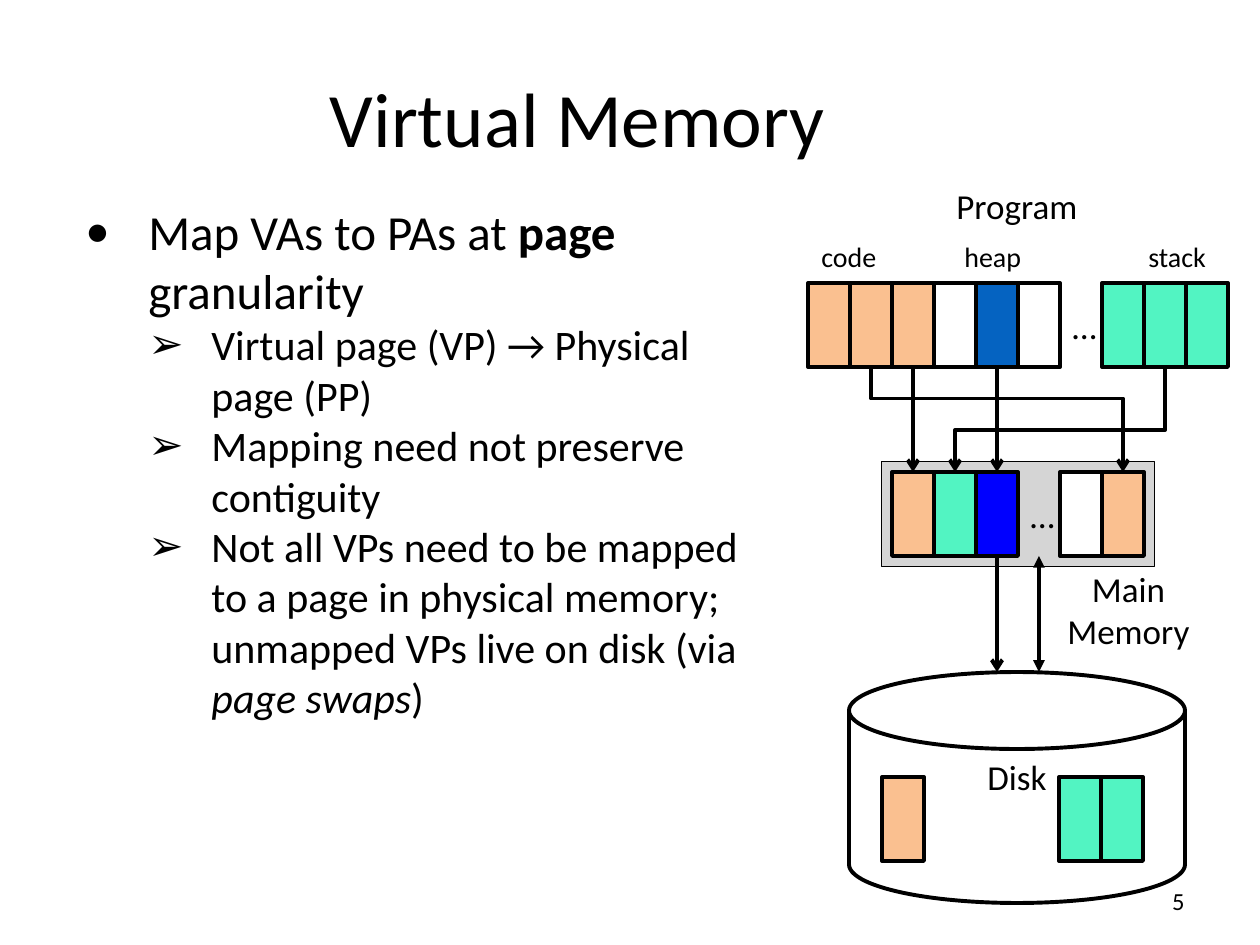
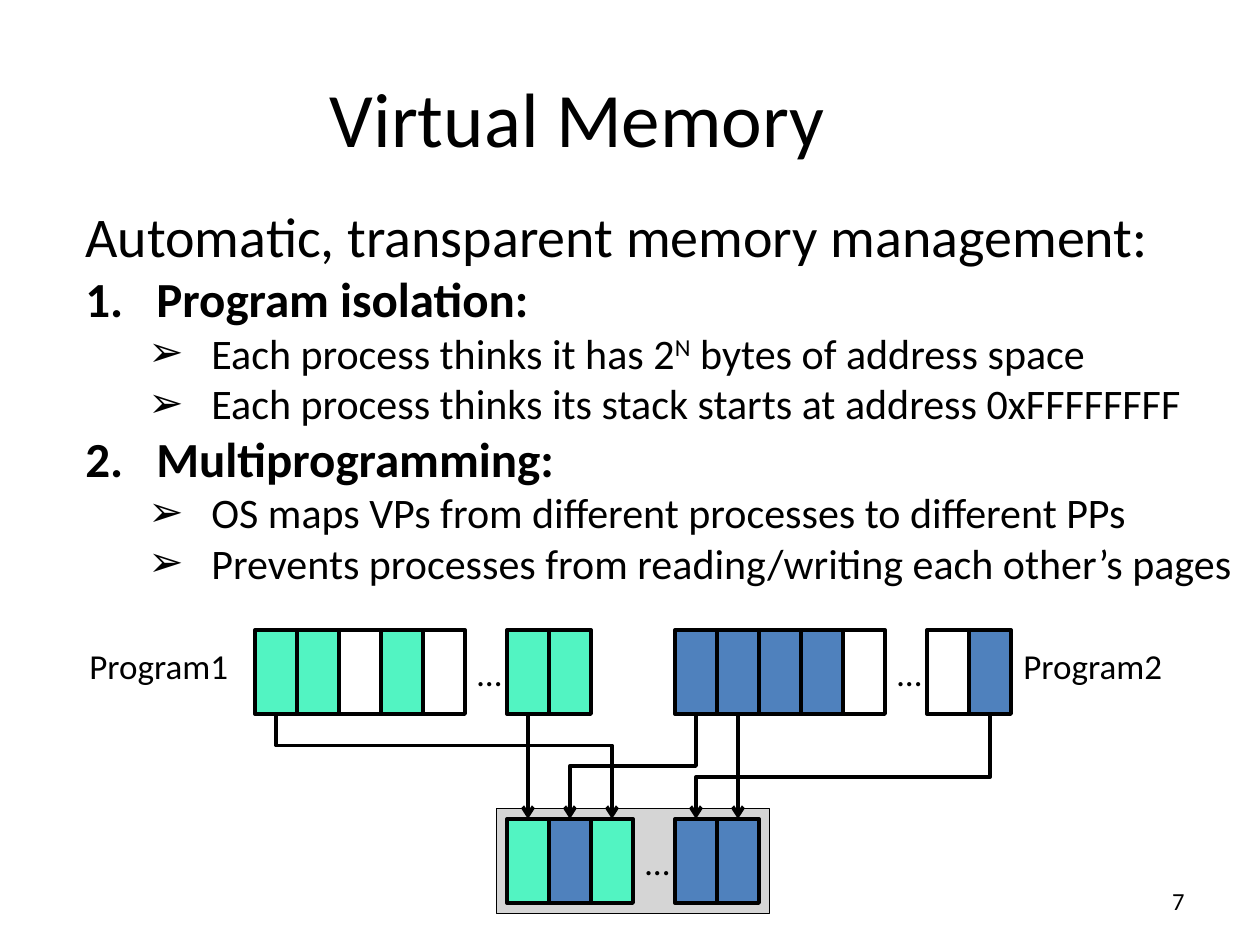
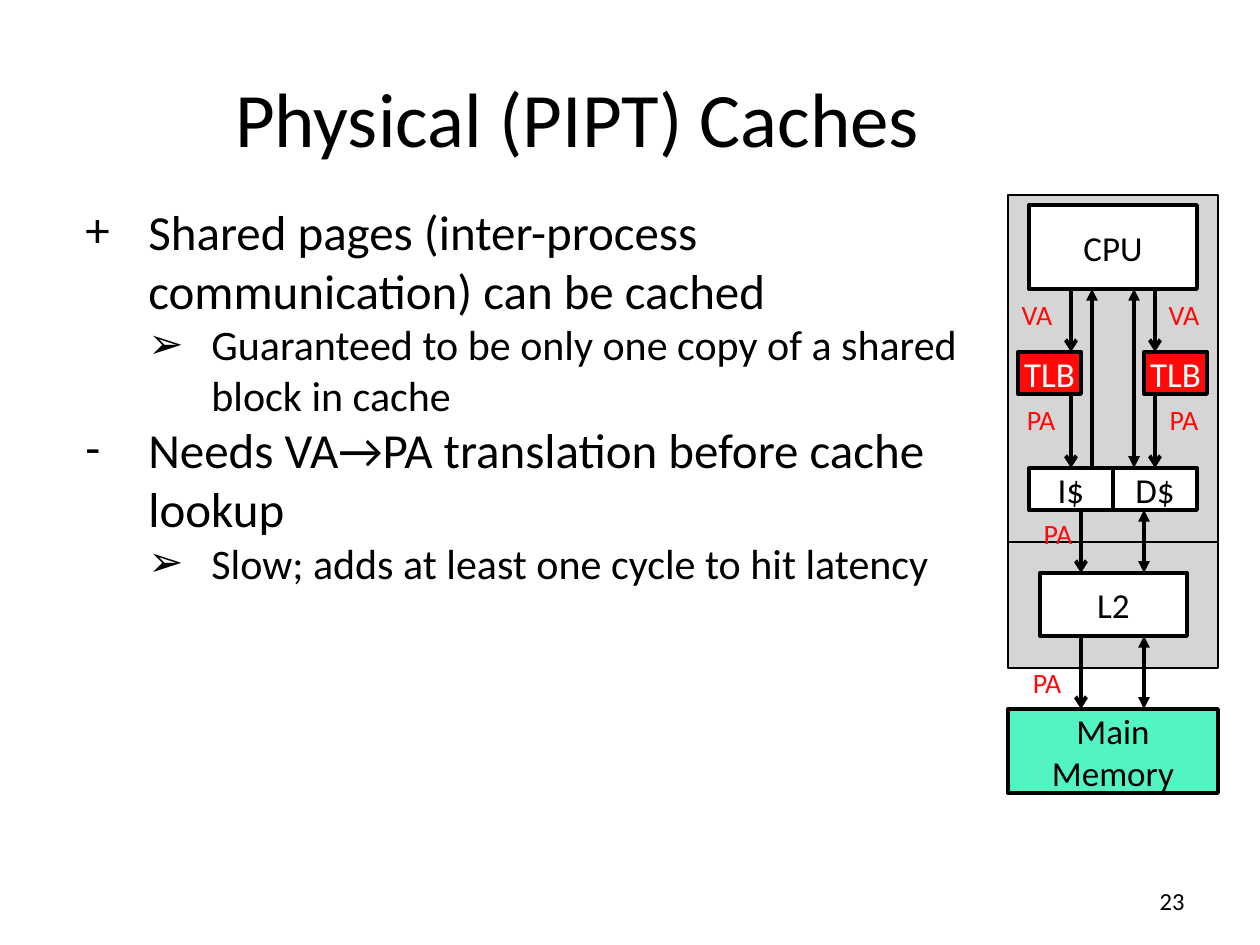
import dataclasses

import lxml.etree
import pptx
import pptx.dml.color
import pptx.enum.shapes
import pptx.enum.text
import pptx.oxml.ns
import pptx.util

SHAPE = pptx.enum.shapes.MSO_SHAPE
ALIGN = pptx.enum.text.PP_ALIGN
ANCHOR = pptx.enum.text.MSO_ANCHOR
BOTTOM, TOP = 2, 0  # connection sites of a rectangle
TITLE_ONLY = 5
CELL_WIDTH, CELL_HEIGHT = 42, 84


@dataclasses.dataclass(frozen=True)
class Theme:
    font: str = "Calibri"
    ink: str = "000000"
    white: str = "FFFFFF"
    panel: str = "D5D5D5"
    orange: str = "FAC090"
    teal: str = "52F4C2"
    heap: str = "0563C1"
    blue: str = "0000FF"
    steel: str = "4F81BD"
    red: str = "FF0909"
    title: int = 44
    lead: int = 32
    point: int = 28
    detail: int = 24
    label: int = 20
    small: int = 16
    number: int = 14
    thick: float = 2.25
    thin: float = 1


THEME = Theme()


def px(length):
    return pptx.util.Emu(round(length * 914400 / 126))


def rgb(colour):
    return pptx.dml.color.RGBColor.from_string(colour)


def add_xml(parent, tag, **attributes):
    child = lxml.etree.SubElement(parent, pptx.oxml.ns.qn(tag))
    for name, value in attributes.items():
        child.set(name, value)


# Text

def add_bullet(para, bullet, level, hang):
    """Indent the paragraph and give it a sign, or a number for "1."."""
    para.level = level
    settings = para._p.get_or_add_pPr()
    settings.set("marL", str(px(hang + 63 * level)))
    settings.set("indent", str(-px(hang)))
    add_xml(settings, "a:buFont", typeface=THEME.font)
    if bullet == "1.":
        add_xml(settings, "a:buAutoNum", type="arabicPeriod")
    else:
        add_xml(settings, "a:buChar", char=bullet)


def write(frame, text, *, size=THEME.label, colour=THEME.ink, align=ALIGN.LEFT,
          bold=False, bullet=None, level=0, hang=63):
    """Add one paragraph; text is a string or a list of (words, style) spans."""
    para = frame.add_paragraph() if frame.text else frame.paragraphs[0]
    para.alignment = align
    if bullet:
        add_bullet(para, bullet, level, hang)
    for words, style in [(text, "")] if isinstance(text, str) else text:
        span = para.add_run()
        span.text = words
        font = span.font
        font.name, font.size = THEME.font, pptx.util.Pt(size)
        font.color.rgb = rgb(colour)
        font.bold = bold or style == "bold"
        font.italic = style == "italic"
        if style == "super":
            font._element.set("baseline", "30000")


def add_label(page, box, text, anchor=ANCHOR.TOP, wrap=False, **text_format):
    label = page.shapes.add_textbox(*map(px, box))
    label.text_frame.word_wrap = wrap
    label.text_frame.vertical_anchor = anchor
    write(label.text_frame, text, **text_format)
    return label


def add_body(page, width):
    body = page.shapes.add_textbox(*map(px, (73, 195, width, 735)))
    body.text_frame.word_wrap = True
    return body.text_frame


def write_detail(frame, text):
    write(frame, text, size=THEME.detail, bullet="➢", level=1)


# Shapes and arrows

def add_block(page, box, fill, kind=SHAPE.RECTANGLE, line=THEME.thick, text="",
              anchor=ANCHOR.MIDDLE, colour=THEME.ink):
    block = page.shapes.add_shape(kind, *map(px, box))
    block.shadow.inherit = False
    block.fill.solid()
    block.fill.fore_color.rgb = rgb(fill)
    block.line.color.rgb = rgb(THEME.ink)
    block.line.width = pptx.util.Pt(line)
    if text:
        block.text_frame.word_wrap = False
        block.text_frame.vertical_anchor = anchor
        for words in text.split("\n"):
            write(block.text_frame, words, align=ALIGN.CENTER, colour=colour)
    return block


def style_arrow(arrow, head, tail):
    arrow.line.color.rgb = rgb(THEME.ink)
    arrow.line.width = pptx.util.Pt(THEME.thick)
    line = arrow.line._get_or_add_ln()
    if head:
        add_xml(line, "a:headEnd", type=head)
    if tail:
        add_xml(line, "a:tailEnd", type=tail)


def middle(block):
    return block.left + block.width // 2


def add_arrow(page, upper, lower, x=None, head=None, tail="arrow"):
    """Run straight down between two blocks, joined where x is their middle."""
    x = middle(upper) if x is None else px(x)
    arrow = page.shapes.add_connector(
        pptx.enum.shapes.MSO_CONNECTOR.STRAIGHT,
        x, upper.top + upper.height, x, lower.top)
    if abs(x - middle(upper)) < px(1):
        arrow.begin_connect(upper, BOTTOM)
    if abs(x - middle(lower)) < px(1):
        arrow.end_connect(lower, TOP)
    style_arrow(arrow, head, tail)
    add_xml(arrow._element.spPr, "a:effectLst")


def add_bent_arrow(page, upper, lower, drop):
    """Go down by drop, across, and down into the lower block."""
    start = upper.top + upper.height
    bend = start + px(drop)
    builder = page.shapes.build_freeform(middle(upper), start, scale=1.0)
    builder.add_line_segments(
        [(middle(upper), bend), (middle(lower), bend), (middle(lower), lower.top)],
        close=False)
    arrow = builder.convert_to_shape()
    arrow.shadow.inherit = False
    arrow.fill.background()
    style_arrow(arrow, None, "arrow")


# Memory regions

def add_cells(page, left, top, fills):
    """Draw a row of memory pages; None leaves a gap with an ellipsis."""
    cells = []
    for index, fill in enumerate(fills):
        box = (left + index * CELL_WIDTH, top, CELL_WIDTH, CELL_HEIGHT)
        cells.append(add_block(page, box, fill) if fill
                     else add_label(page, box, "…", anchor=ANCHOR.MIDDLE))
    return cells


def add_main_memory(page, left, top, fills):
    margin = 10.5
    box = (left - margin, top - margin,
           len(fills) * CELL_WIDTH + 2 * margin, CELL_HEIGHT + 2 * margin)
    add_block(page, box, THEME.panel, line=THEME.thin)
    return add_cells(page, left, top, fills)


def add_disk(page, left, top):
    disk = add_block(page, (left, top, 336, 231), THEME.white,
                     kind=SHAPE.FLOWCHART_MAGNETIC_DISK, text="Disk",
                     anchor=ANCHOR.TOP)
    add_cells(page, left + 33, top + 105, [THEME.orange])
    add_cells(page, left + 210, top + 105, [THEME.teal] * 2)
    return disk


def add_mapping(page, left, top):
    """Show a program's pages mapped to main memory and disk."""
    program = add_cells(page, left, top, [THEME.orange] * 3 + [
        THEME.white, THEME.heap, THEME.white, None] + [THEME.teal] * 3)
    memory = add_main_memory(page, left + 2 * CELL_WIDTH, top + 189, [
        THEME.orange, THEME.teal, THEME.blue, None, THEME.white, THEME.orange])
    disk = add_disk(page, left + 41, top + 389)

    add_arrow(page, program[2], memory[0])
    add_arrow(page, program[4], memory[2])
    add_bent_arrow(page, program[1], memory[5], 31.5)
    add_bent_arrow(page, program[8], memory[1], 63)
    add_arrow(page, memory[2], disk)
    add_arrow(page, memory[3], disk, head="triangle", tail="triangle")

    add_label(page, (left + 136, top - 105, 147, 55), "Program")
    add_label(page, (left + 231, top + 278, 179, 97), "Main Memory",
              wrap=True, align=ALIGN.CENTER)
    for x, width, words in ((1, 81, "code"), (144, 83, "heap"), (328, 83, "stack")):
        add_label(page, (left + x, top - 50, width, 47), words, size=THEME.small)


def add_sharing(page, left, top):
    """Show two programs sharing main memory."""
    teal, steel, white = THEME.teal, THEME.steel, THEME.white
    first = add_cells(page, left, top,
                      [teal, teal, white, teal, white, None, teal, teal])
    second = add_cells(page, left + 10 * CELL_WIDTH, top,
                       [steel] * 4 + [white, None, white, steel])
    memory = add_main_memory(page, left + 6 * CELL_WIDTH, top + 189,
                             [teal, steel, teal, None, steel, steel])

    add_arrow(page, first[6], memory[0])
    add_arrow(page, second[1], memory[5])
    add_bent_arrow(page, first[0], memory[2], 31.5)
    add_bent_arrow(page, second[0], memory[1], 52)
    add_bent_arrow(page, second[7], memory[4], 63)
    for x, words in ((-178, "Program1"), (756, "Program2")):
        add_label(page, (left + x, top + 8, 165, 97), words, wrap=True)


def add_cache_stack(page, left, top):
    """Show the path from the processor through caches to main memory."""
    def block(x, y, width, height, text="", fill=THEME.white, **options):
        return add_block(page, (left + x, top + y, width, height), fill,
                         text=text, **options)

    block(0, 347, 210, 126, fill=THEME.panel, line=THEME.thin)
    block(0, 0, 210, 347, fill=THEME.panel, line=THEME.thin)
    cpu = block(21, 10, 168, 84, "CPU")
    caches = [block(21, 273, 84, 42, "I$"), block(105, 273, 84, 42, "D$")]
    second_level = block(32, 378, 147, 63, "L2")
    memory = block(0, 514, 210, 84, "Main\nMemory", fill=THEME.teal)

    # Address translation on each side
    for x, cache, tlb_x in zip((63, 147), caches, (10, 136)):
        tlb = block(tlb_x, 157, 63, 42, "TLB", fill=THEME.red, colour=THEME.white)
        add_arrow(page, cpu, tlb, left + x)
        add_arrow(page, tlb, cache, left + x)

    # Data paths
    add_arrow(page, cpu, caches[0], left + 84, head="triangle", tail=None)
    add_arrow(page, cpu, caches[1], left + 126, head="triangle", tail="triangle")
    for upper, lower in ((caches[0], second_level), (second_level, memory)):
        add_arrow(page, upper, lower, left + 73)
    for upper, lower in ((caches[1], second_level), (second_level, memory)):
        add_arrow(page, upper, lower, left + 136,
                  head="triangle", tail="triangle")

    # Address kinds, centred on x and wide enough for one line
    width = 70
    for x, y, words in ((29, 96, "VA"), (176, 96, "VA"), (33, 201, "PA"),
                        (176, 201, "PA"), (50, 315, "PA"), (39, 464, "PA")):
        add_label(page, (left + x - width / 2, top + y, width, 47), words,
                  size=THEME.small, colour=THEME.red, align=ALIGN.CENTER)


# Slides

def add_page(deck, title, number):
    page = deck.slides.add_slide(deck.slide_layouts[TITLE_ONLY])
    heading = page.shapes.title
    heading.left, heading.top, heading.width, heading.height = map(
        px, (63, 38, 1029, 157))
    heading.text_frame.vertical_anchor = ANCHOR.MIDDLE
    write(heading.text_frame, title, size=THEME.title, align=ALIGN.CENTER)
    add_label(page, (1050, 876, 147, 50), str(number), anchor=ANCHOR.MIDDLE,
              wrap=True, size=THEME.number, align=ALIGN.RIGHT)
    return page


def add_mapping_page(deck):
    page = add_page(deck, "Virtual Memory", 5)
    body = add_body(page, 709)
    write(body, [("Map VAs to PAs at ", ""), ("page", "bold"), (" granularity", "")],
          size=THEME.point, bullet="•")
    write_detail(body, "Virtual page (VP) → Physical page (PP)")
    write_detail(body, "Mapping need not preserve contiguity")
    write_detail(body, [
        ("Not all VPs need to be mapped to a page in physical memory; "
         "unmapped VPs live on disk (via ", ""),
        ("page swaps", "italic"), (")", "")])
    add_mapping(page, 808, 283)


def add_sharing_page(deck):
    page = add_page(deck, "Virtual Memory", 7)
    body = add_body(page, 1177)
    write(body, "Automatic, transparent memory management:", size=THEME.lead)
    sections = {
        "Program isolation:": (
            [("Each process thinks it has 2", ""), ("N", "super"),
             (" bytes of address space", "")],
            "Each process thinks its stack starts at address 0xFFFFFFFF"),
        "Multiprogramming:": (
            "OS maps VPs from different processes to different PPs",
            "Prevents processes from reading/writing each other’s pages"),
    }
    for heading, details in sections.items():
        write(body, heading, size=THEME.point, bold=True, bullet="1.", hang=71)
        for detail in details:
            write_detail(body, detail)
    add_sharing(page, 255, 630)


def add_cache_page(deck):
    page = add_page(deck, "Physical (PIPT) Caches", 23)
    body = add_body(page, 915)
    for sign, point, detail in (
            ("+", "Shared pages (inter-process communication) can be cached",
             "Guaranteed to be only one copy of a shared block in cache"),
            ("-", "Needs VA→PA translation before cache lookup",
             "Slow; adds at least one cycle to hit latency")):
        write(body, point, size=THEME.point, bullet=sign)
        write_detail(body, detail)
    add_cache_stack(page, 1008, 195)


def main():
    deck = pptx.Presentation()
    deck.slide_width, deck.slide_height = px(1260), px(945)
    add_mapping_page(deck)
    add_sharing_page(deck)
    add_cache_page(deck)
    deck.save("out.pptx")


if __name__ == "__main__":
    main()
